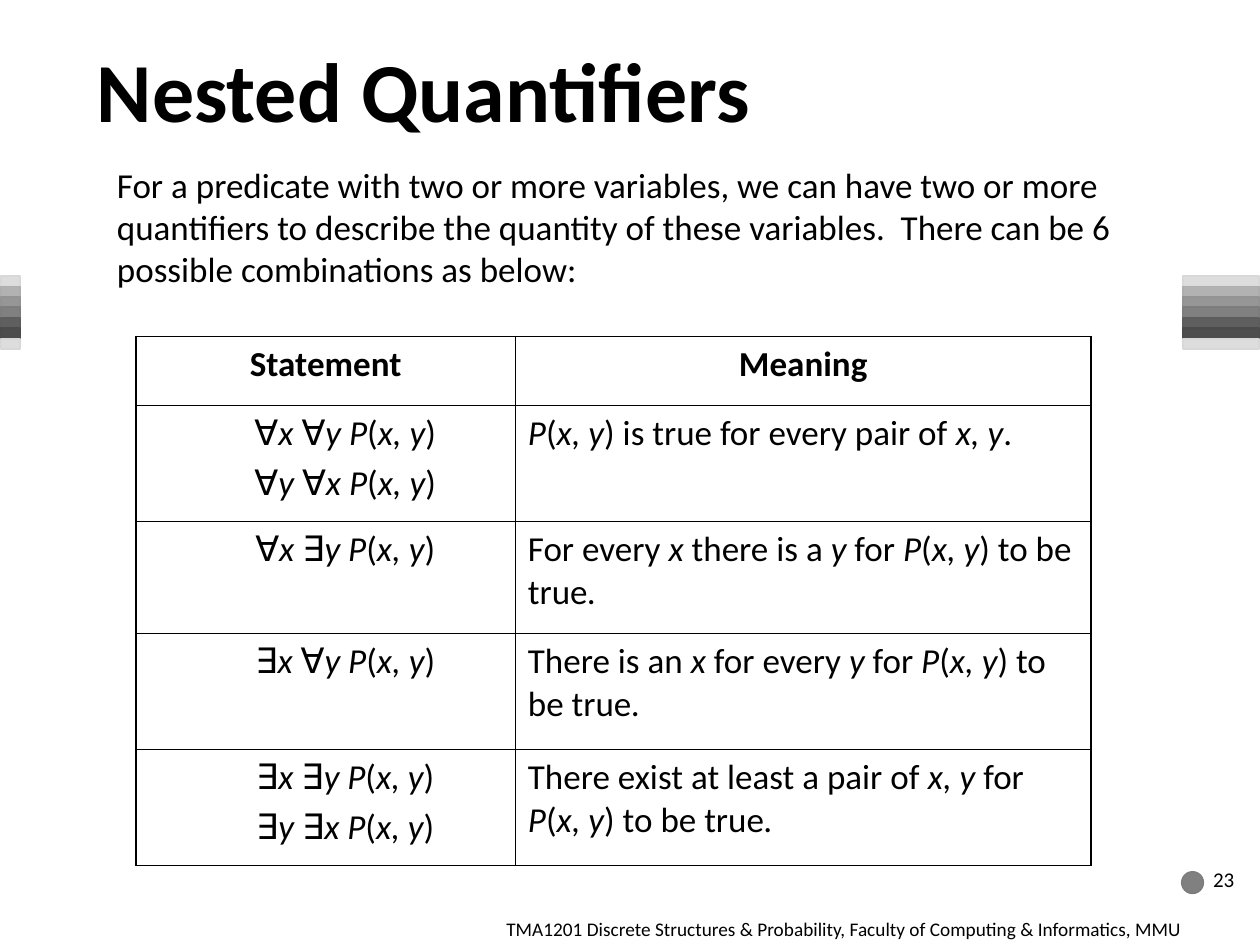
import pptx
import pptx.dml.color
import pptx.enum.shapes
import pptx.enum.text
import pptx.oxml
import pptx.oxml.ns
import pptx.util
from pptx.util import Inches

COLORS = {
    "text": "000000", "border": "000000", "dot": "808080", "dot_line": "7D7D7D",
}
# Fill and line of each bar, from top to bottom
BARS = [
    ("DDDDDD", "D8D8D8"), ("B2B2B2", "AEAEAE"), ("969696", "939393"),
    ("808080", "7D7D7D"), ("5F5F5F", "5D5D5D"), ("4D4D4D", "4B4B4B"),
    ("DDDDDD", "D8D8D8"),
]
BAR_STEP = 0.083
CENTER = pptx.enum.text.PP_ALIGN.CENTER
LEFT = pptx.enum.text.PP_ALIGN.LEFT
MIDDLE = pptx.enum.text.MSO_ANCHOR.MIDDLE
SHAPES = pptx.enum.shapes.MSO_SHAPE

COLUMN_WIDTHS = [3.01, 4.57]
ROW_HEIGHTS = [0.55, 0.92, 0.89, 0.92, 0.92]
STATEMENT_INDENT = 0.31
# Asterisks enclose italic text
ROWS = [
    (["∀*x* ∀*y P*(*x, y*)", "∀*y* ∀*x P*(*x, y*)"],
     "*P*(*x, y*) is true for every pair of *x, y*."),
    (["∀*x* ∃*y P*(*x, y*)"],
     "For every *x* there is a *y* for *P*(*x, y*) to be true*.*"),
    (["∃*x* ∀*y P*(*x, y*)"],
     "There is an *x* for every *y *for *P*(*x, y*) to be true*.*"),
    (["∃*x* ∃*y P*(*x, y*)", "∃*y *∃*x P*(*x, y*)"],
     "There exist at least a pair of *x, y *for *P*(*x, y*) to be true*.*"),
]


def rgb(name):
    return pptx.dml.color.RGBColor.from_string(COLORS.get(name, name))


def write_paragraphs(text_frame, lines, size, bold=False, alignment=LEFT):
    """Fill a text frame; asterisks in a line switch italics on and off."""
    for number, line in enumerate(lines):
        if number:
            paragraph = text_frame.add_paragraph()
            paragraph.space_before = pptx.util.Pt(size * 0.2)
        else:
            paragraph = text_frame.paragraphs[0]
        paragraph.alignment = alignment
        for position, part in enumerate(line.split("*")):
            if not part:
                continue
            run = paragraph.add_run()
            run.text = part
            formats = {"name": "Calibri", "size": pptx.util.Pt(size),
                       "bold": bold, "italic": position % 2 == 1}
            for attribute, value in formats.items():
                setattr(run.font, attribute, value)
            run.font.color.rgb = rgb("text")


def add_text(slide, box, text, size, bold=False, anchor=None):
    text_frame = slide.shapes.add_textbox(*map(Inches, box)).text_frame
    text_frame.word_wrap = True
    text_frame.vertical_anchor = anchor
    write_paragraphs(text_frame, [text], size, bold)


def add_filled_shape(slide, kind, box, fill, line):
    shape = slide.shapes.add_shape(kind, *map(Inches, box))
    shape.shadow.inherit = False
    shape.fill.solid()
    shape.fill.fore_color.rgb = rgb(fill)
    shape.line.color.rgb = rgb(line)
    shape.line.width = pptx.util.Pt(1)


def add_bars(slide, left, width):
    for number, (fill, line) in enumerate(BARS):
        box = (left, 2.19 + number * BAR_STEP, width, BAR_STEP)
        add_filled_shape(slide, SHAPES.RECTANGLE, box, fill, line)


def set_borders(cell):
    properties = cell._tc.get_or_add_tcPr()
    for position, side in enumerate(("lnL", "lnR", "lnT", "lnB")):
        border = pptx.oxml.parse_xml(
            f'<a:{side} {pptx.oxml.ns.nsdecls("a")} w="12700"><a:solidFill>'
            f'<a:srgbClr val="{COLORS["border"]}"/></a:solidFill></a:{side}>')
        properties.insert(position, border)


def fill_cell(cell, lines, bold=False, alignment=LEFT, indent=0):
    cell.fill.background()
    cell.margin_left = Inches(0.1 + indent)
    write_paragraphs(cell.text_frame, lines, 20, bold, alignment)
    set_borders(cell)


def add_quantifier_table(slide):
    table = slide.shapes.add_table(
        len(ROW_HEIGHTS), len(COLUMN_WIDTHS), Inches(1.08), Inches(2.67),
        Inches(sum(COLUMN_WIDTHS)), Inches(sum(ROW_HEIGHTS))).table
    table.first_row = table.horz_banding = False
    for column, width in zip(table.columns, COLUMN_WIDTHS):
        column.width = Inches(width)
    for row, height in zip(table.rows, ROW_HEIGHTS):
        row.height = Inches(height)
    for column, heading in enumerate(("Statement", "Meaning")):
        fill_cell(table.cell(0, column), [heading], True, CENTER)
    for row, (statements, meaning) in enumerate(ROWS, start=1):
        fill_cell(table.cell(row, 0), statements, alignment=CENTER,
                  indent=STATEMENT_INDENT)
        fill_cell(table.cell(row, 1), [meaning])


def main():
    presentation = pptx.Presentation()
    presentation.slide_width = Inches(10)
    presentation.slide_height = Inches(7.5)
    slide = presentation.slides.add_slide(presentation.slide_layouts[6])

    add_bars(slide, 0.01, 0.15)
    add_bars(slide, 9.39, 0.6)
    add_filled_shape(slide, SHAPES.OVAL, (9.38, 6.92, 0.17, 0.17),
                     "dot", "dot_line")
    add_text(slide, (0.67, 0.08, 9, 1.25), "Nested Quantifiers", 48, True, MIDDLE)
    add_text(slide, (0.83, 1.25, 8.67, 1.33),
             "For a predicate with two or more variables, we can have two or "
             "more quantifiers to describe the quantity of these variables.  "
             "There can be 6 possible combinations as below:", 20)
    add_quantifier_table(slide)
    add_text(slide, (3.92, 7.23, 6.08, 0.27),
             "TMA1201 Discrete Structures & Probability, Faculty of Computing "
             "& Informatics, MMU", 11)
    add_text(slide, (9.53, 6.73, 0.47, 0.5), "23", 12, anchor=MIDDLE)
    presentation.save("out.pptx")


if __name__ == "__main__":
    main()
